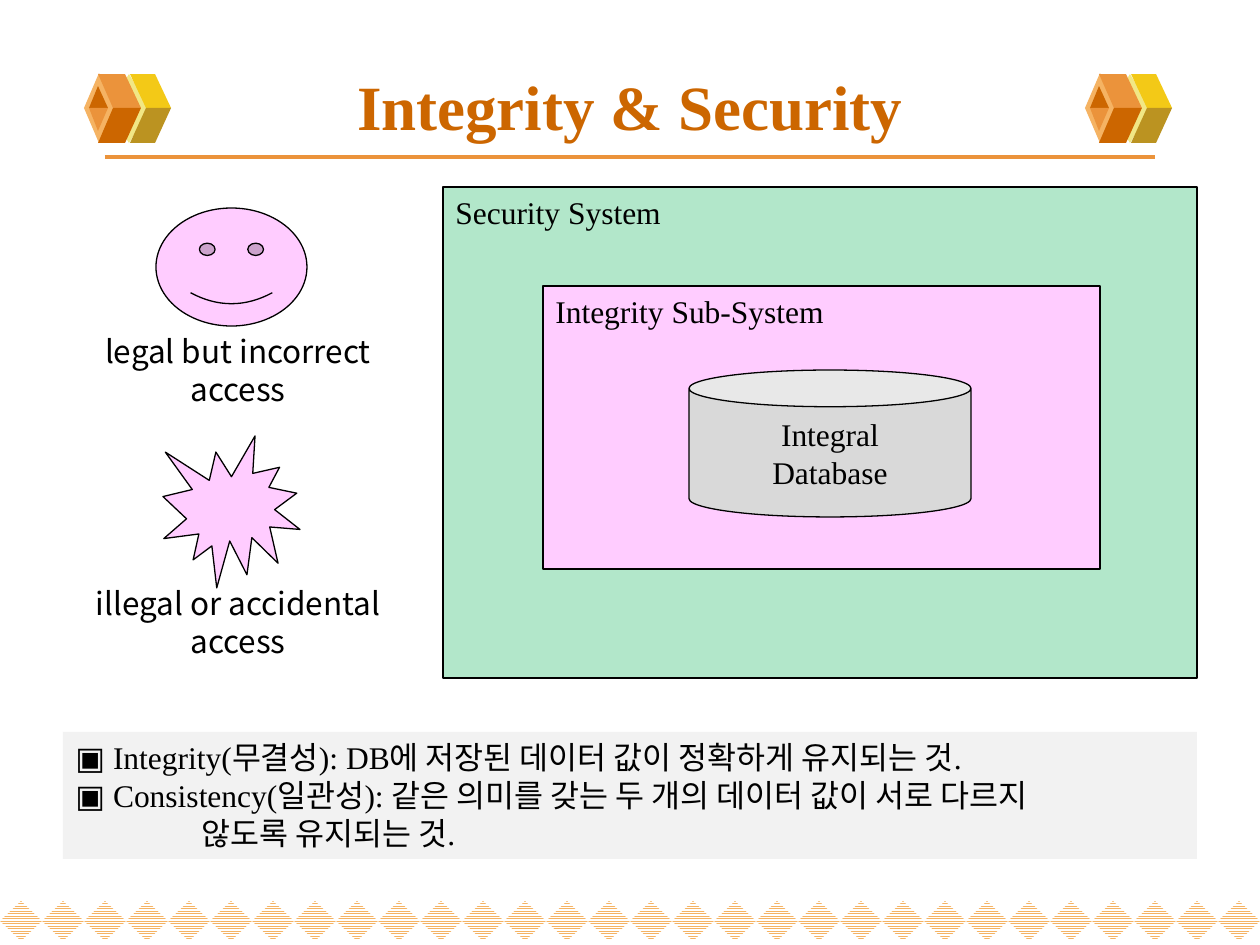
from dataclasses import dataclass

from lxml import etree
from pptx import Presentation
from pptx import util as u
from pptx.dml.color import RGBColor
from pptx.enum import dml, shapes, text
from pptx.oxml.ns import qn

PX = 914400 / 126
KIND = shapes.MSO_SHAPE
CENTER = text.PP_ALIGN.CENTER
MIDDLE = text.MSO_ANCHOR.MIDDLE


@dataclass(frozen=True)
class Theme:
    serif: str = "Times New Roman"
    sans: str = "Noto Sans CJK KR"
    title_size: int = 36
    body_size: int = 18
    line_pitch: float = 21.6
    outline_width: float = 0.75
    rule_width: float = 2.25
    ink: str = "000000"
    paper: str = "FFFFFF"
    security: str = "00B050"
    pink: str = "FFCCFF"
    database: str = "D9D9D9"
    note: str = "F2F2F2"
    dark_orange: str = "CC6600"
    orange: str = "EB933B"
    light_orange: str = "F5B363"
    yellow: str = "F3C917"
    pale_yellow: str = "F1E785"
    olive: str = "BB9321"


def px(length):
    return u.Emu(round(length * PX))


def rgb(code):
    return RGBColor.from_string(code)


def write(frame, content, *, font, size, color, bold=False, align=None,
          anchor=text.MSO_ANCHOR.TOP, pitch=None, last_indent=0):
    """Fill a frame with one paragraph per line of content."""
    frame.word_wrap = True
    frame.vertical_anchor = anchor
    lines = content.split("\n")
    for number, line in enumerate(lines):
        paragraph = frame.paragraphs[0] if number == 0 else frame.add_paragraph()
        paragraph.alignment = align or text.PP_ALIGN.LEFT
        if pitch:
            paragraph.line_spacing = u.Pt(pitch)
        if last_indent and number == len(lines) - 1:
            properties = paragraph._p.get_or_add_pPr()
            properties.set("marL", str(px(last_indent)))
            properties.set("indent", "0")
        run = paragraph.add_run()
        run.text = line
        run.font.name = font
        run.font.size = u.Pt(size)
        run.font.bold = bold
        run.font.color.rgb = rgb(color)
        east_asian = etree.SubElement(run._r.get_or_add_rPr(), qn("a:ea"))
        east_asian.set("typeface", Theme.sans)


class SlideBuilder:
    def __init__(self, slide, theme):
        self.slide = slide
        self.theme = theme

    def finish(self, shape, fill, outlined=False, opacity=None):
        """Apply fill, outline and no shadow."""
        shape.shadow.inherit = False
        shape.fill.solid()
        shape.fill.fore_color.rgb = rgb(fill)
        if opacity:
            color = shape._element.spPr.find(qn("a:solidFill"))[0]
            etree.SubElement(color, qn("a:alpha")).set("val", str(opacity * 1000))
        if outlined:
            shape.line.color.rgb = rgb(self.theme.ink)
            shape.line.width = u.Pt(self.theme.outline_width)
        else:
            shape.line.fill.background()
        return shape

    def preset(self, kind, box, fill, **style):
        shape = self.slide.shapes.add_shape(kind, *map(px, box))
        return self.finish(shape, fill, **style)

    def polygon(self, points, fill):
        builder = self.slide.shapes.build_freeform(*points[0], scale=PX)
        builder.add_line_segments(points[1:], close=True)
        return self.finish(builder.convert_to_shape(), fill)

    def hatched_diamond(self, box):
        diamond = self.preset(KIND.DIAMOND, box, self.theme.paper)
        diamond.fill.patterned()
        diamond.fill.pattern = dml.MSO_PATTERN.NARROW_HORIZONTAL
        diamond.fill.fore_color.rgb = rgb(self.theme.light_orange)
        diamond.fill.back_color.rgb = rgb(self.theme.paper)

    def rule(self, left, right, y):
        line = self.slide.shapes.add_connector(
            shapes.MSO_CONNECTOR.STRAIGHT, px(left), px(y), px(right), px(y))
        line.line.color.rgb = rgb(self.theme.orange)
        line.line.width = u.Pt(self.theme.rule_width)
        etree.SubElement(line._element.spPr, qn("a:effectLst"))

    def body(self, shape, content, **style):
        style = {"font": self.theme.serif, **style}
        write(shape.text_frame, content, size=self.theme.body_size,
              color=self.theme.ink, pitch=self.theme.line_pitch, **style)

    def title(self, content, box):
        heading = self.slide.shapes.add_textbox(*map(px, box))
        write(heading.text_frame, content, font=self.theme.serif,
              size=self.theme.title_size, color=self.theme.dark_orange,
              bold=True, align=CENTER, anchor=MIDDLE)

    def caption(self, content, box):
        self.body(self.slide.shapes.add_textbox(*map(px, box)), content,
                  font=self.theme.sans, align=CENTER)

    def cube(self, left):
        """Draw the two-slice cube ornament beside the title."""
        theme, top, middle, bottom = self.theme, 74, 108, 143

        def face(edge_y, xs, fill):
            near, far, outer, inner = (left + x for x in xs)
            self.polygon([(near, middle), (far, middle),
                          (outer, edge_y), (inner, edge_y)], fill)

        def notch(tip_y, fill):
            self.polygon([(left + 14, tip_y), (left + 5, middle),
                          (left + 24, middle)], fill)

        back, front = (62, 87, 71, 46), (29, 57, 41, 14)
        self.preset(KIND.DIAMOND, (left + 24, top, 42, 69), theme.pale_yellow)
        face(top, back, theme.yellow)
        face(bottom, back, theme.olive)
        self.preset(KIND.DIAMOND, (left, 73, 30, 70), theme.light_orange)
        face(top, front, theme.orange)
        face(bottom, front, theme.dark_orange)
        notch(86, theme.dark_orange)
        notch(131, theme.orange)


def main():
    deck = Presentation()
    deck.slide_width, deck.slide_height = px(1260), px(945)
    theme = Theme()
    page = SlideBuilder(deck.slides.add_slide(deck.slide_layouts[6]), theme)

    for column in range(30):
        page.hatched_diamond((column * 42, 901, 42, 40))
    page.rule(105, 1155, 157)
    for left in (84, 1085):
        page.cube(left)
    page.title("Integrity & Security", (63, 57, 1134, 96))

    security = page.preset(KIND.RECTANGLE, (443, 187, 754, 491), theme.security,
                           outlined=True, opacity=30)
    page.body(security, "Security System")
    integrity = page.preset(KIND.RECTANGLE, (543, 286, 557, 283), theme.pink,
                            outlined=True)
    page.body(integrity, "Integrity Sub-System")
    database = page.preset(KIND.CAN, (689, 370, 282, 147), theme.database,
                           outlined=True)
    page.body(database, "Integral\nDatabase", align=CENTER, anchor=MIDDLE)

    definitions = page.preset(KIND.RECTANGLE, (63, 732, 1134, 127), theme.note)
    page.body(definitions,
              "▣ Integrity(무결성): DB에 저장된 데이터 값이 정확하게 유지되는 것.\n"
              "▣ Consistency(일관성): 같은 의미를 갖는 두 개의 데이터 값이 서로 다르지\n"
              "않도록 유지되는 것.", last_indent=126)

    page.preset(KIND.EXPLOSION1, (163, 436, 137, 152), theme.pink, outlined=True)
    page.preset(KIND.SMILEY_FACE, (156, 208, 151, 118), theme.pink, outlined=True)
    page.caption("legal but incorrect access", (69, 326, 338, 89))
    page.caption("illegal or accidental access", (69, 578, 338, 89))

    deck.save("out.pptx")


if __name__ == "__main__":
    main()
